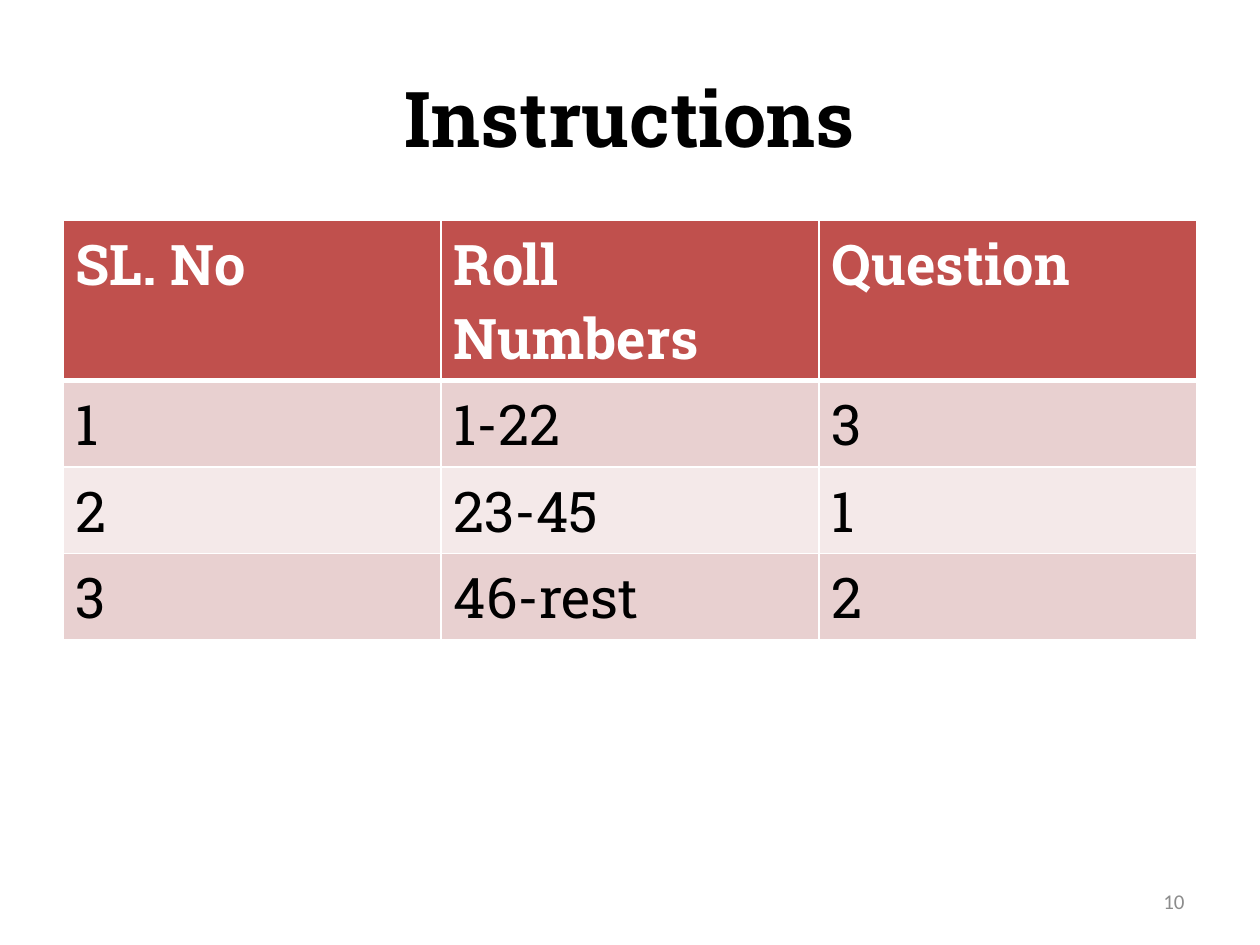
from lxml.etree import SubElement
from pptx import Presentation
from pptx.dml.color import RGBColor
from pptx.enum.text import MSO_ANCHOR as Anchor, PP_ALIGN as Align
from pptx.oxml.ns import qn
from pptx.util import Emu, Pt

TITLE = "Instructions"
PAGE_NUMBER = "10"
ROWS = [
    ("SL. No", "Roll Numbers", "Question"),
    ("1", "1-22", "3"),
    ("2", "23-45", "1"),
    ("3", "46-rest", "2"),
]

BLACK = RGBColor(0x00, 0x00, 0x00)
WHITE = RGBColor(0xFF, 0xFF, 0xFF)
GRAY = RGBColor(0x8C, 0x8C, 0x8C)
RED = RGBColor(0xC0, 0x50, 0x4D)
BANDS = [RGBColor(0xF4, 0xE9, 0xE9), RGBColor(0xE8, 0xD0, 0xD0)]

SLAB = "Roboto Slab"
TITLE_FONT = {"name": SLAB, "size": Pt(44), "bold": True}
HEADER_FONT = {"name": SLAB, "size": Pt(32), "bold": True}
BODY_FONT = {"name": SLAB, "size": Pt(32), "bold": False}
NUMBER_FONT = {"name": "Calibri", "size": Pt(12)}

TITLE_AREA = (63, 38, 1134, 158)
TABLE_AREA = (63, 220, 1134, 418)
NUMBER_AREA = (903, 876, 294, 50)
HEADER_HEIGHT, ROW_HEIGHT = 160, 86
THIN, THICK = Pt(1), Pt(3)


def px(value):
    return Emu(value * 914400 // 126)


def write(frame, text, font, color, align):
    para = frame.paragraphs[0]
    para.alignment = align
    span = para.add_run()
    span.text = text
    for name, value in font.items():
        setattr(span.font, name, value)
    span.font.color.rgb = color


def add_border(cell, side, width):
    line = SubElement(cell._tc.get_or_add_tcPr(), qn(f"a:ln{side}"), w=str(width))
    fill = SubElement(line, qn("a:solidFill"))
    SubElement(fill, qn("a:srgbClr"), val=str(WHITE))


deck = Presentation()
deck.slide_width, deck.slide_height = px(1260), px(945)
page = deck.slides.add_slide(deck.slide_layouts[5])

title = page.shapes.title
title.left, title.top, title.width, title.height = map(px, TITLE_AREA)
title.text_frame.vertical_anchor = Anchor.MIDDLE
write(title.text_frame, TITLE, TITLE_FONT, BLACK, Align.CENTER)

table = page.shapes.add_table(len(ROWS), len(ROWS[0]), *map(px, TABLE_AREA)).table
for r, values in enumerate(ROWS):
    is_header = r == 0
    table.rows[r].height = px(HEADER_HEIGHT if is_header else ROW_HEIGHT)
    font, color = (HEADER_FONT, WHITE) if is_header else (BODY_FONT, BLACK)
    widths = {"L": THIN, "R": THIN, "T": THICK if r == 1 else THIN, "B": THICK if is_header else THIN}
    for c, value in enumerate(values):
        cell = table.cell(r, c)
        for side, width in widths.items():
            add_border(cell, side, width)
        cell.fill.solid()
        cell.fill.fore_color.rgb = RED if is_header else BANDS[r % 2]
        write(cell.text_frame, value, font, color, Align.LEFT)

number = page.shapes.add_textbox(*map(px, NUMBER_AREA))
number.text_frame.word_wrap = True
number.text_frame.vertical_anchor = Anchor.MIDDLE
write(number.text_frame, PAGE_NUMBER, NUMBER_FONT, GRAY, Align.RIGHT)

deck.save("out.pptx")
